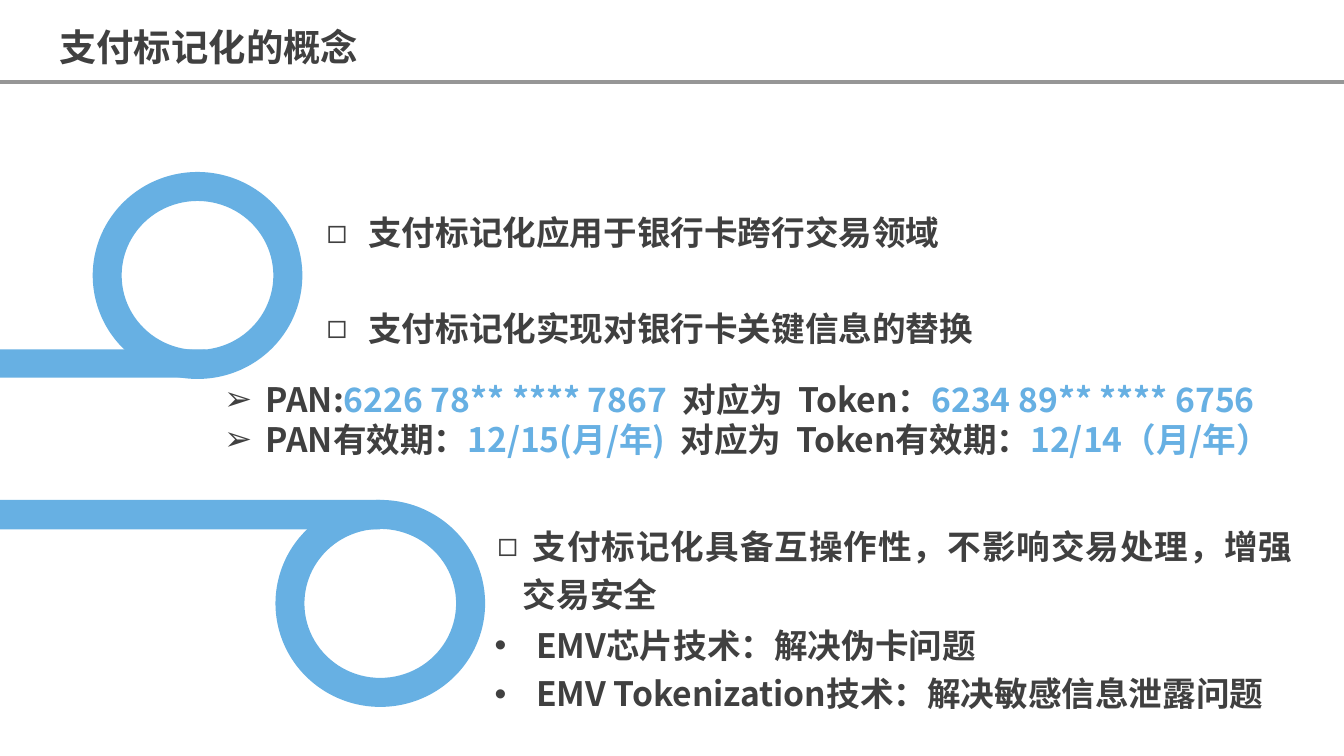
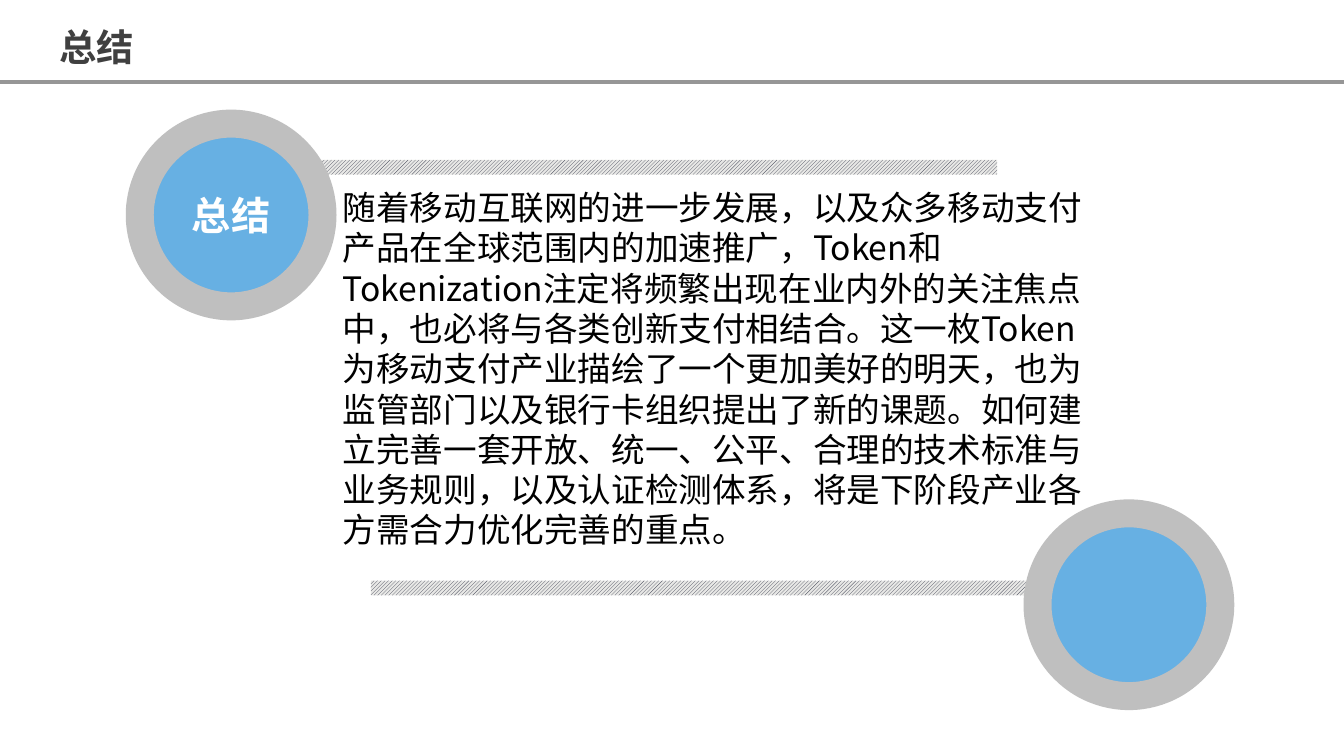
from dataclasses import dataclass

import lxml.etree
import pptx
import pptx.dml.color
import pptx.enum.dml
import pptx.enum.shapes
import pptx.enum.text
import pptx.oxml.ns
import pptx.presentation
import pptx.shapes.autoshape
import pptx.shapes.base
import pptx.slide
import pptx.text.text
import pptx.util

Inches = pptx.util.Inches
Pt = pptx.util.Pt
RGBColor = pptx.dml.color.RGBColor
Align = pptx.enum.text.PP_ALIGN
Anchor = pptx.enum.text.MSO_ANCHOR
Preset = pptx.enum.shapes.MSO_SHAPE

BLUE = RGBColor(0x67, 0xB0, 0xE3)
DARK = RGBColor(0x40, 0x40, 0x40)
BLACK = RGBColor(0, 0, 0)
WHITE = RGBColor(0xFF, 0xFF, 0xFF)
RULE_GRAY = RGBColor(0x96, 0x96, 0x96)
RING_GRAY = RGBColor(0xBF, 0xBF, 0xBF)
HATCH_DARK = RGBColor(0x41, 0x44, 0x55)
HATCH_LIGHT = RGBColor(0xE8, 0xE8, 0xE6)
FONT = "Noto Sans CJK SC"
BULLET_FONT = "Arial"
SLIDE_WIDTH = Inches(10)
SLIDE_HEIGHT = SLIDE_WIDTH * 9 // 16
COMPARISON_LAYOUT = 4
CONTENT_LAYOUT = 1
GAP_SPACING = 400


@dataclass(frozen=True)
class Box:
    left: float
    top: float
    width: float
    height: float


@dataclass(frozen=True)
class Span:
    text: str
    color: RGBColor = DARK
    spacing: int = 0


@dataclass(frozen=True)
class TextBlock:
    box: Box
    paragraphs: list[list[Span]]
    bullet: str = ""
    indent: float = 0
    size: float = 18
    bold: bool = True
    line_spacing: float = 1.2
    alignment: Align = Align.LEFT
    margins: tuple[float, float] = (0.1, 0.05)


@dataclass(frozen=True)
class Loop:
    bar: Box
    ring: Box


@dataclass(frozen=True)
class Badge:
    box: Box
    label: str = ""


GAP = Span(" ", spacing=GAP_SPACING)
TITLE_BOX = Box(0.34, 0.06, 2.61, 0.5)

CONCEPT_LISTS = [
    TextBlock(Box(2.33, 1.47, 4.79, 0.46), [[Span("支付标记化应用于银行卡跨行交易领域")]],
              "◻", 0.31, alignment=Align.JUSTIFY),
    TextBlock(Box(2.33, 2.18, 5.88, 0.46), [[Span("支付标记化实现对银行卡关键信息的替换")]],
              "◻", 0.31, alignment=Align.JUSTIFY),
    TextBlock(Box(3.6, 3.8, 6.12, 0.83),
              [[Span(" 支付标记化具备互操作性，不影响交易处理，增强交易安全")]],
              "◻", 0.19, alignment=Align.JUSTIFY),
    TextBlock(Box(3.58, 4.54, 6.12, 0.83),
              [[Span("EMV芯片技术：解决伪卡问题")],
               [Span("EMV Tokenization技术：解决敏感信息泄露问题")]],
              "•", 0.31, alignment=Align.JUSTIFY),
]
TOKEN_EXAMPLE = TextBlock(
    Box(1.57, 2.77, 8.43, 1.07),
    [[Span("PAN:"), Span("6226 78** **** 7867", BLUE), GAP, Span("对应为"), GAP,
      Span("Token："), Span("6234 89** **** 6756", BLUE)],
     [Span("PAN有效期："), Span("12/15(月/年)", BLUE), GAP, Span("对应为"), GAP,
      Span("Token有效期："), Span("12/14（月/年）", BLUE)]],
    "➢", 0.31, line_spacing=1)
LOOPS = [
    Loop(Box(0, 2.6, 1.53, 0.21), Box(0.69, 1.28, 1.56, 1.54)),
    Loop(Box(0, 3.72, 2.83, 0.22), Box(2.05, 3.72, 1.56, 1.54)),
]

SUMMARY = TextBlock(
    Box(2.48, 1.35, 5.75, 2.8),
    [[Span("随着移动互联网的进一步发展，以及众多移动支付产品在全球范围内的加速推广，"
           "Token和Tokenization注定将频繁出现在业内外的关注焦点中，也必将与各类创新支付相结合。"
           "这一枚Token为移动支付产业描绘了一个更加美好的明天，也为监管部门以及银行卡组织提出了新的课题。"
           "如何建立完善一套开放、统一、公平、合理的技术标准与业务规则，以及认证检测体系，"
           "将是下阶段产业各方需合力优化完善的重点。", BLACK)]],
    bold=False, line_spacing=1, margins=(0.07, 0.04))
HATCHED_BARS = [Box(2.76, 4.32, 5.14, 0.11), Box(2.28, 1.19, 5.14, 0.11)]
BADGES = [Badge(Box(1.04, 0.92, 1.36, 1.36), "总结"), Badge(Box(7.72, 3.82, 1.36, 1.36))]


def place(shape: pptx.shapes.base.BaseShape, box: Box) -> None:
    shape.left, shape.top = Inches(box.left), Inches(box.top)
    shape.width, shape.height = Inches(box.width), Inches(box.height)


def set_bullet(paragraph: pptx.text.text._Paragraph, bullet: str, indent: float) -> None:
    properties = paragraph._p.get_or_add_pPr()
    properties.set("marL", str(Inches(indent)))
    properties.set("indent", str(-Inches(indent)))
    if not bullet:
        lxml.etree.SubElement(properties, pptx.oxml.ns.qn("a:buNone"))
        return
    font = lxml.etree.SubElement(properties, pptx.oxml.ns.qn("a:buFont"))
    font.set("typeface", BULLET_FONT)
    character = lxml.etree.SubElement(properties, pptx.oxml.ns.qn("a:buChar"))
    character.set("char", bullet)


def add_span(paragraph: pptx.text.text._Paragraph, span: Span, size: float, bold: bool) -> None:
    run = paragraph.add_run()
    run.text = span.text
    run.font.name = FONT
    run.font.size = Pt(size)
    run.font.bold = bold
    run.font.color.rgb = span.color
    properties = run._r.get_or_add_rPr()
    east_asian = lxml.etree.SubElement(properties, pptx.oxml.ns.qn("a:ea"))
    east_asian.set("typeface", FONT)
    if span.spacing:
        properties.set("spc", str(span.spacing))


def write_block(shape: pptx.shapes.autoshape.Shape, block: TextBlock) -> None:
    place(shape, block.box)
    frame = shape.text_frame
    frame.word_wrap = True
    frame.auto_size = pptx.enum.text.MSO_AUTO_SIZE.SHAPE_TO_FIT_TEXT
    frame.vertical_anchor = Anchor.TOP
    horizontal, vertical = block.margins
    frame.margin_left = frame.margin_right = Inches(horizontal)
    frame.margin_top = frame.margin_bottom = Inches(vertical)
    for index, spans in enumerate(block.paragraphs):
        paragraph = frame.add_paragraph() if index else frame.paragraphs[0]
        set_bullet(paragraph, block.bullet, block.indent)
        paragraph.alignment = block.alignment
        paragraph.line_spacing = block.line_spacing
        paragraph.space_before = paragraph.space_after = Pt(0)
        for span in spans:
            add_span(paragraph, span, block.size, block.bold)


def add_titled_slide(presentation: pptx.presentation.Presentation, layout: int,
                     title: str) -> pptx.slide.Slide:
    slide = presentation.slides.add_slide(presentation.slide_layouts[layout])
    rule = slide.shapes.add_connector(pptx.enum.shapes.MSO_CONNECTOR.STRAIGHT,
                                      Inches(0), Inches(0.61), SLIDE_WIDTH, Inches(0.61))
    rule.line.color.rgb = RULE_GRAY
    rule.line.width = Pt(1.75)
    lxml.etree.SubElement(rule._element.spPr, pptx.oxml.ns.qn("a:effectLst"))
    write_block(slide.shapes.title, TextBlock(TITLE_BOX, [[Span(title)]], size=20))
    return slide


def add_preset(slide: pptx.slide.Slide, preset: Preset,
               box: Box) -> pptx.shapes.autoshape.Shape:
    shape = slide.shapes.add_shape(preset, Inches(box.left), Inches(box.top),
                                   Inches(box.width), Inches(box.height))
    shape.shadow.inherit = False
    shape.fill.solid()
    shape.fill.fore_color.rgb = BLUE
    shape.line.fill.background()
    return shape


def add_loop(slide: pptx.slide.Slide, loop: Loop) -> None:
    add_preset(slide, Preset.RECTANGLE, loop.bar)
    ring = add_preset(slide, Preset.DONUT, loop.ring)
    ring.adjustments[0] = 0.14


def add_hatched_bar(slide: pptx.slide.Slide, box: Box) -> None:
    bar = add_preset(slide, Preset.RECTANGLE, box)
    bar.fill.patterned()
    bar.fill.pattern = pptx.enum.dml.MSO_PATTERN.LIGHT_UPWARD_DIAGONAL
    bar.fill.fore_color.rgb = HATCH_DARK
    bar.fill.back_color.rgb = HATCH_LIGHT


def add_badge(slide: pptx.slide.Slide, badge: Badge) -> None:
    circle = add_preset(slide, Preset.OVAL, badge.box)
    circle.line.color.rgb = RING_GRAY
    circle.line.width = Pt(15)
    if badge.label:
        frame = circle.text_frame
        frame.vertical_anchor = Anchor.MIDDLE
        frame.margin_left = frame.margin_right = Inches(0.07)
        frame.margin_top = frame.margin_bottom = Inches(0.04)
        frame.paragraphs[0].alignment = Align.CENTER
        add_span(frame.paragraphs[0], Span(badge.label, WHITE), 21, True)


def build_concept_slide(presentation: pptx.presentation.Presentation) -> None:
    slide = add_titled_slide(presentation, COMPARISON_LAYOUT, "支付标记化的概念")
    for loop in LOOPS:
        add_loop(slide, loop)
    bodies = list(slide.placeholders)[1:]
    for body, block in zip(bodies, CONCEPT_LISTS):
        write_block(body, block)
    example = slide.shapes.add_textbox(0, 0, 0, 0)
    write_block(example, TOKEN_EXAMPLE)


def build_summary_slide(presentation: pptx.presentation.Presentation) -> None:
    slide = add_titled_slide(presentation, CONTENT_LAYOUT, "总结")
    for box in HATCHED_BARS:
        add_hatched_bar(slide, box)
    write_block(slide.placeholders[1], SUMMARY)
    for badge in BADGES:
        add_badge(slide, badge)


def main() -> None:
    presentation = pptx.Presentation()
    presentation.slide_width = SLIDE_WIDTH
    presentation.slide_height = SLIDE_HEIGHT
    build_concept_slide(presentation)
    build_summary_slide(presentation)
    presentation.save("out.pptx")


if __name__ == "__main__":
    main()
